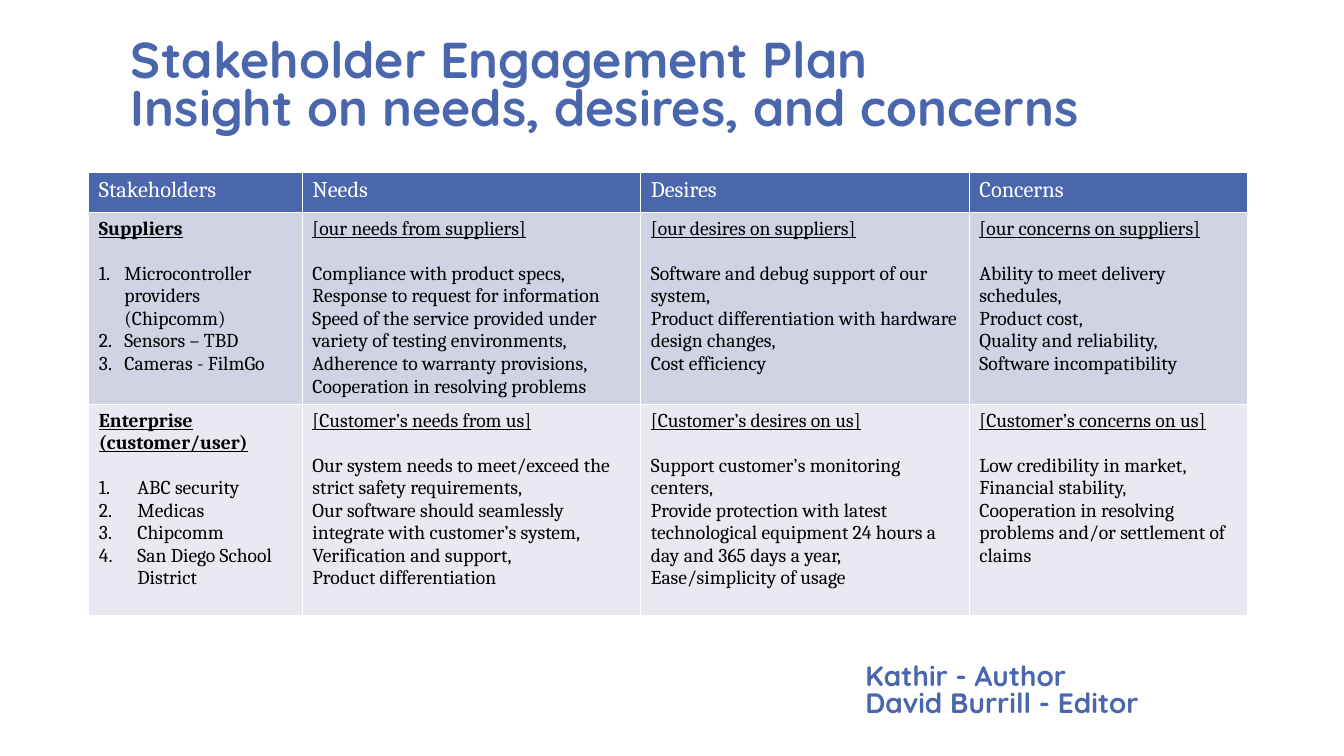
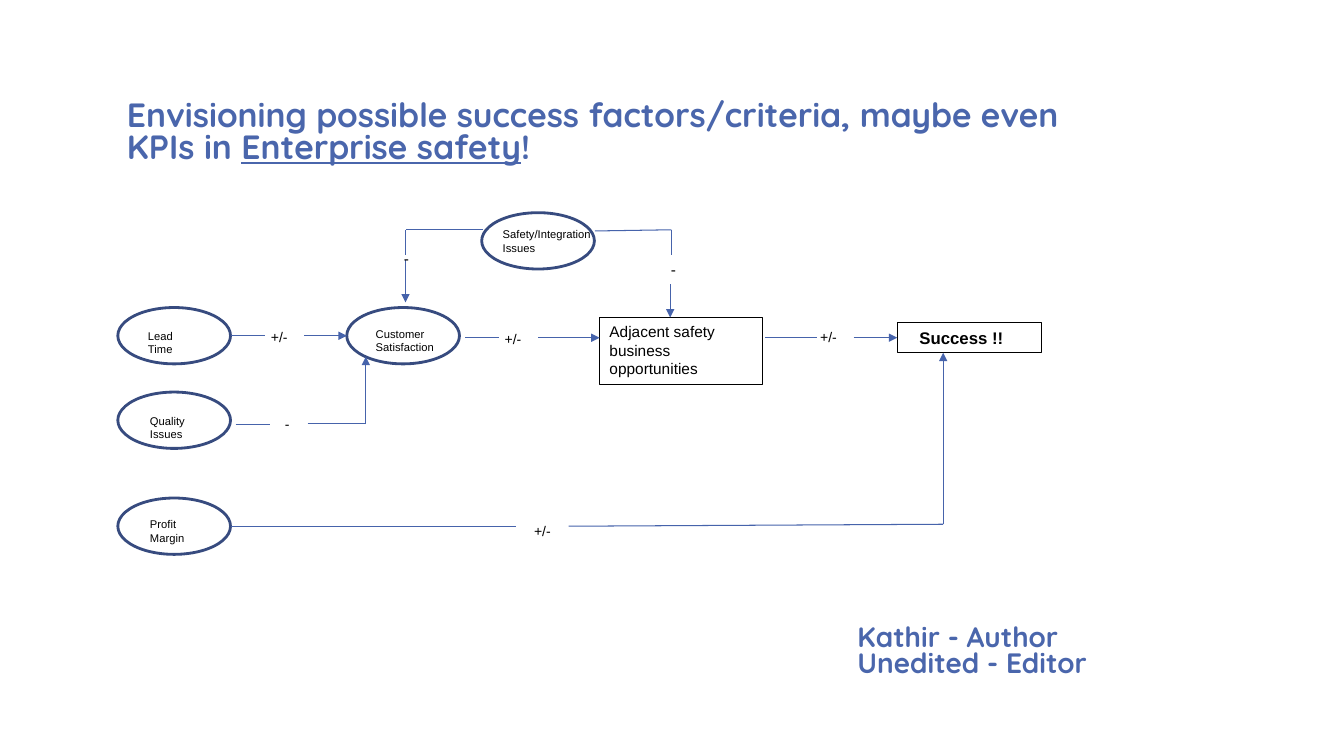
"""Build two slides: a stakeholder table and a success factor diagram."""
from dataclasses import dataclass

from lxml import etree
from pptx import Presentation
from pptx.dml.color import RGBColor
from pptx.enum import shapes, text
from pptx.oxml import ns
from pptx.util import Cm, Pt


@dataclass(frozen=True)
class Theme:
    """Colours, fonts and type sizes of the presentation."""
    blue: str = "4A66AC"
    outline: str = "374B7F"
    arrow: str = "4663AB"
    black: str = "000000"
    white: str = "FFFFFF"
    bands: tuple = ("D0D3E3", "E9EAF1")
    display: str = "Quicksand"
    serif: str = "Cambria"
    sans: str = "Arial"
    title: int = 36
    subtitle: int = 24
    credit: int = 20
    header: int = 16
    cell: int = 14
    success: int = 12
    label: int = 11
    sign: int = 10
    caption: int = 8


THEME = Theme()
COLUMN_WIDTHS = (5.38, 8.53, 8.28, 7.01)
ROW_HEIGHTS = (1.02, 4.83, 5.33)
HEADERS = ("Stakeholders", "Needs", "Desires", "Concerns")
STAKEHOLDERS = (
    (0.64, (
        ("Suppliers", "Microcontroller providers (Chipcomm)", "Sensors – TBD",
         "Cameras - FilmGo"),
        ("[our needs from suppliers]", "Compliance with product specs,",
         "Response to request for information",
         "Speed of the service provided under variety of testing environments,",
         "Adherence to warranty provisions,", "Cooperation in resolving problems"),
        ("[our desires on suppliers]", "Software and debug support of our system,",
         "Product differentiation with hardware design changes,", "Cost efficiency"),
        ("[our concerns on suppliers]", "Ability to meet delivery schedules,",
         "Product cost,", "Quality and reliability,", "Software incompatibility"),
    )),
    (0.97, (
        ("Enterprise (customer/user)", "ABC security", "Medicas", "Chipcomm",
         "San Diego School District"),
        ("[Customer’s needs from us]",
         "Our system needs to meet/exceed the strict safety requirements,",
         "Our software should seamlessly integrate with customer’s system, "
         "Verification and support,", "Product differentiation"),
        ("[Customer’s desires on us]", "Support customer’s monitoring centers,",
         "Provide protection with latest technological equipment 24 hours a day "
         "and 365 days a year,", "Ease/simplicity of usage"),
        ("[Customer’s concerns on us]", "Low credibility in market,",
         "Financial stability,",
         "Cooperation in resolving problems and/or settlement of claims"),
    )),
)
FACTORS = (
    ("Lead\nTime", 0, 2.39, 0.51, 0.41),
    ("Customer\nSatisfaction", 5.77, 2.39, 0.48, 0.36),
    ("Safety/Integration\nIssues", 9.17, 0, 0.28, 0.25),
    ("Quality\nIssues", 0, 4.52, 0.56, 0.43),
    ("Profit\nMargin", 0, 7.19, 0.56, 0.36),
)
SIGNS = (
    ("+/-", 3.61, 2.79, THEME.sign),
    ("+/-", 9.5, 2.84, THEME.sign),
    ("+/-", 17.45, 2.79, THEME.sign),
    ("+/-", 10.24, 7.67, THEME.sign),
    ("-", 3.96, 4.98, THEME.sign),
    ("-", 6.96, 0.79, THEME.label),
    ("-", 13.69, 1.07, THEME.label),
)
PLAIN_LINES = (
    (2.85, 3.1, 3.71, 3.1),
    (8.76, 3.15, 9.6, 3.15),
    (16.31, 3.15, 17.63, 3.15),
    (2.97, 5.33, 3.84, 5.33),
    (4.78, 5.31, 6.25, 5.31),
    (9.2, 0.43, 7.25, 0.43),
    (7.25, 0.43, 7.25, 1.07),
    (12.02, 0.46, 13.95, 0.43),
    (13.95, 0.43, 13.95, 1.07),
    (2.85, 7.9, 10.03, 7.9),
    (11.36, 7.9, 20.8, 7.85),
)
ARROWS = (
    (4.7, 3.1, 5.77, 3.1),
    (10.59, 3.15, 12.14, 3.15),
    (6.25, 5.33, 6.25, 3.63),
    (7.25, 1.19, 7.25, 2.26),
    (13.92, 1.8, 13.92, 2.64),
    (20.8, 7.85, 20.8, 3.53),
)


def colour(value):
    """Turn a hex string into a colour."""
    return RGBColor.from_string(value)


def lengths(*values):
    """Turn numbers of centimetres into lengths."""
    return [Cm(value) for value in values]


def add_text(paragraph, content, size, font=THEME.sans, color=THEME.black,
             bold=False, underline=False):
    """Append formatted text to a paragraph, with line breaks at newlines."""
    for index, line in enumerate(content.split("\n")):
        if index:
            paragraph.add_line_break()
        run = paragraph.add_run()
        run.text = line
        run.font.size = Pt(size)
        run.font.name = font
        run.font.bold = bold
        run.font.underline = underline
        run.font.color.rgb = colour(color)


def prepare_frame(frame, margin_x=0.25, margin_y=0.13, anchor=text.MSO_ANCHOR.TOP):
    """Set wrapping, margins and anchor of a text frame."""
    frame.word_wrap = True
    frame.auto_size = text.MSO_AUTO_SIZE.NONE
    frame.margin_left, frame.margin_right = Cm(margin_x), Cm(0.25)
    frame.margin_top = frame.margin_bottom = Cm(margin_y)
    frame.vertical_anchor = anchor
    return frame


def add_label(slide, content, left, top, width, height, size):
    """Add a small text box."""
    shape = slide.shapes.add_textbox(*lengths(left, top, width, height))
    add_text(prepare_frame(shape.text_frame).paragraphs[0], content, size)


def add_display(paragraph, content, size, underline=False):
    """Write heading text in the shared display style."""
    paragraph.alignment = text.PP_ALIGN.LEFT
    paragraph.line_spacing = 0.8
    add_text(paragraph, content, size, font=THEME.display, color=THEME.blue,
             bold=True, underline=underline)


def set_title(slide, box, parts, size):
    """Place the title and write its (text, underline) parts."""
    title = slide.shapes.title
    title.left, title.top, title.width, title.height = lengths(*box)
    frame = prepare_frame(title.text_frame, margin_y=0.25,
                          anchor=text.MSO_ANCHOR.BOTTOM)
    for content, underline in parts:
        add_display(frame.paragraphs[0], content, size, underline)


def add_credits(slide, left, top, editor):
    """Add the author and editor lines."""
    shape = slide.shapes.add_textbox(*lengths(left, top, 9.53, 1.8))
    frame = prepare_frame(shape.text_frame, margin_y=0.25,
                          anchor=text.MSO_ANCHOR.BOTTOM)
    add_display(frame.paragraphs[0], "Kathir - Author", THEME.credit)
    add_display(frame.add_paragraph(), f"{editor} - Editor", THEME.credit)


def number_paragraph(paragraph, indent):
    """Give a paragraph automatic numbering with a hanging indent."""
    properties = paragraph._p.get_or_add_pPr()
    properties.set("marL", str(Cm(indent)))
    properties.set("indent", str(-Cm(indent)))
    etree.SubElement(properties, ns.qn("a:buAutoNum"), type="arabicPeriod")


def fill_cell(cell, fill):
    """Colour a cell and return its text frame."""
    cell.fill.solid()
    cell.fill.fore_color.rgb = colour(fill)
    return cell.text_frame


def write_cell(cell, lines, fill, indent=None):
    """Write an underlined heading and its lines, numbered if indented."""
    frame = fill_cell(cell, fill)
    heading = frame.paragraphs[0]
    heading.space_after = Pt(16)
    add_text(heading, lines[0], THEME.cell, font=THEME.serif,
             bold=indent is not None, underline=True)
    for line in lines[1:]:
        paragraph = frame.add_paragraph()
        add_text(paragraph, line, THEME.cell, font=THEME.serif)
        if indent is not None:
            number_paragraph(paragraph, indent)


def add_stakeholder_table(slide, left, top):
    """Add the table of needs, desires and concerns."""
    box = lengths(left, top, sum(COLUMN_WIDTHS), sum(ROW_HEIGHTS))
    table = slide.shapes.add_table(len(ROW_HEIGHTS), len(COLUMN_WIDTHS), *box).table
    for column, width in zip(table.columns, COLUMN_WIDTHS):
        column.width = Cm(width)
    for row, height in zip(table.rows, ROW_HEIGHTS):
        row.height = Cm(height)
    for index, header in enumerate(HEADERS):
        frame = fill_cell(table.cell(0, index), THEME.blue)
        add_text(frame.paragraphs[0], header, THEME.header, font=THEME.serif,
                 color=THEME.white)
    for row, (indent, cells) in enumerate(STAKEHOLDERS, 1):
        for column, lines in enumerate(cells):
            write_cell(table.cell(row, column), lines, THEME.bands[row - 1],
                       None if column else indent)


def add_outline(slide, preset, box, color, width):
    """Add an unfilled outlined shape."""
    shape = slide.shapes.add_shape(preset, *lengths(*box))
    shape.shadow.inherit = False
    shape.fill.background()
    shape.line.color.rgb = colour(color)
    shape.line.width = Pt(width)
    return shape


def add_factor(slide, caption, left, top, inset_x, inset_y):
    """Add an ellipse with its caption."""
    add_outline(slide, shapes.MSO_SHAPE.OVAL, (left, top, 2.84, 1.42),
                THEME.outline, 2)
    add_label(slide, caption, left + inset_x, top + inset_y, 2.84, 0.94,
              THEME.caption)


def add_result(slide, content, box, size, margin_x=0.25, bold=False):
    """Add a rectangle with left-aligned text."""
    shape = add_outline(slide, shapes.MSO_SHAPE.RECTANGLE, box, THEME.black, 0.75)
    paragraph = prepare_frame(shape.text_frame, margin_x=margin_x).paragraphs[0]
    paragraph.alignment = text.PP_ALIGN.LEFT
    add_text(paragraph, content, size, bold=bold)
    return shape


def add_line(slide, start_x, start_y, end_x, end_y, arrow=False):
    """Add a straight connector, with an arrowhead if asked."""
    line = slide.shapes.add_connector(shapes.MSO_CONNECTOR.STRAIGHT,
                                      *lengths(start_x, start_y, end_x, end_y))
    line.line.color.rgb = colour(THEME.arrow)
    line.line.width = Pt(0.75)
    if arrow:
        etree.SubElement(line.line._get_or_add_ln(), ns.qn("a:tailEnd"),
                         type="triangle")
    etree.SubElement(line._element.spPr, ns.qn("a:effectLst"))
    return line


def add_success_diagram(slide, left, top):
    """Add the diagram that leads from the factors to success."""
    for caption, x, y, inset_x, inset_y in FACTORS:
        add_factor(slide, caption, left + x, top + y, inset_x, inset_y)
    add_result(slide, "Adjacent safety business opportunities",
               (left + 12.14, top + 2.64, 4.11, 1.68), THEME.label)
    success = add_result(slide, "Success !!", (left + 19.64, top + 2.77, 3.63, 0.76),
                         THEME.success, margin_x=0.56, bold=True)
    for lines, arrow in ((PLAIN_LINES, False), (ARROWS, True)):
        for x1, y1, x2, y2 in lines:
            add_line(slide, left + x1, top + y1, left + x2, top + y2, arrow)
    final = add_line(slide, left + 18.54, top + 3.15, left + 19.64, top + 3.15, True)
    final.end_connect(success, 1)
    for sign, x, y, size in SIGNS:
        add_label(slide, sign, left + x, top + y, 1.09, 0.7, size)


def build_stakeholder_slide(slide):
    """Build the stakeholder engagement slide."""
    set_title(slide, (3.05, 0.71, 25.25, 2.97),
              [("Stakeholder Engagement Plan\n"
                "Insight on needs, desires, and concerns", False)], THEME.title)
    add_stakeholder_table(slide, 2.24, 4.34)
    add_credits(slide, 21.56, 16.56, "David Burrill")


def build_success_slide(slide):
    """Build the success factors slide."""
    set_title(slide, (2.95, 1.47, 24.13, 2.97),
              [("Envisioning possible success factors/criteria, maybe even KPIs in ",
                False), ("Enterprise safety", True), ("!", False)], THEME.subtitle)
    add_success_diagram(slide, 2.97, 5.36)
    add_credits(slide, 21.36, 15.57, "Unedited")


def main():
    """Build and save the presentation."""
    presentation = Presentation()
    presentation.slide_width, presentation.slide_height = lengths(33.87, 19.05)
    for build in (build_stakeholder_slide, build_success_slide):
        build(presentation.slides.add_slide(presentation.slide_layouts[5]))
    presentation.save("out.pptx")


if __name__ == "__main__":
    main()
